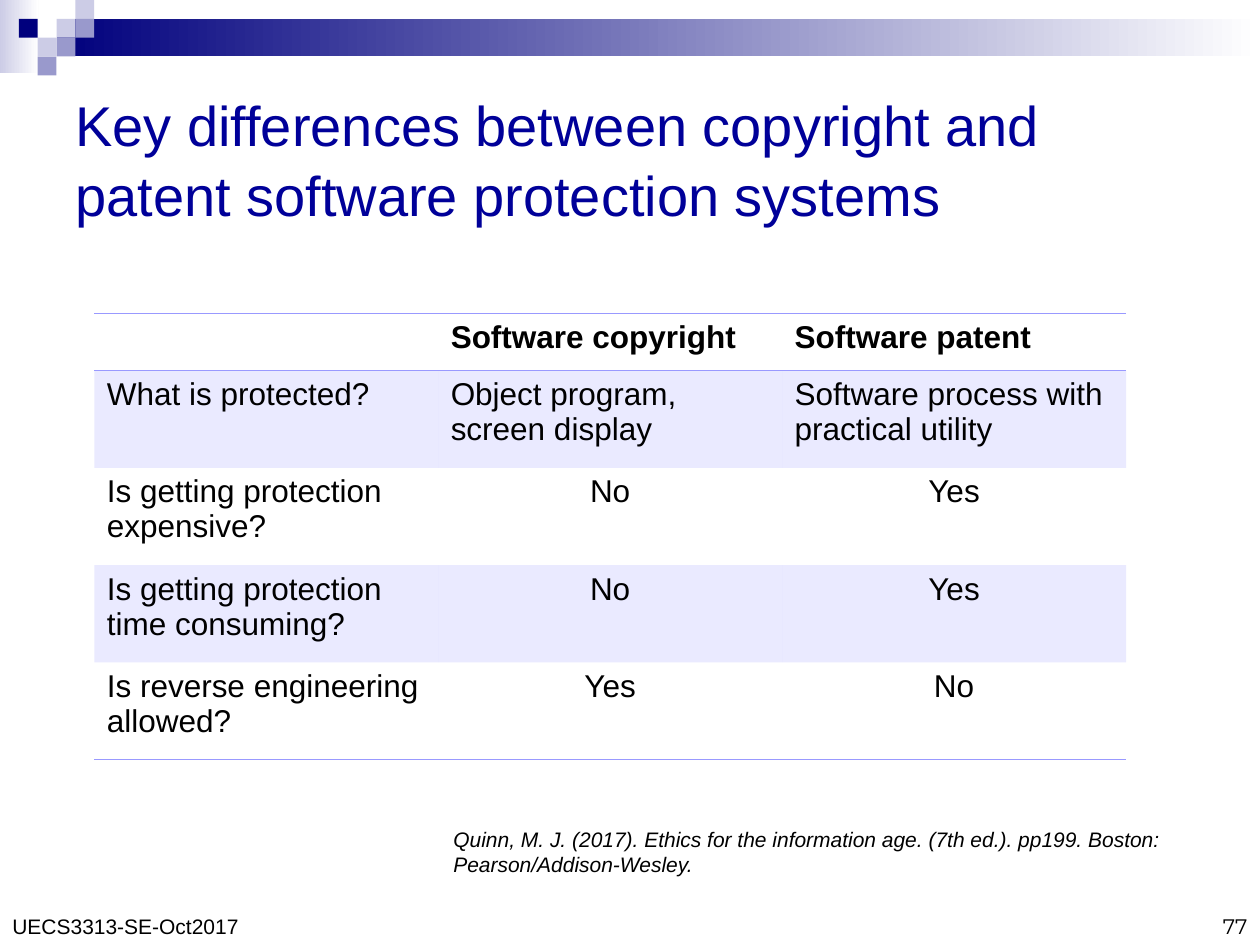
from dataclasses import dataclass

from lxml import etree
from pptx import Presentation
from pptx import util as u
from pptx.dml.color import RGBColor
from pptx.enum import shapes, text
from pptx.oxml.ns import qn


@dataclass(frozen=True)
class Theme:
    font: str = "Arial"
    number_font: str = "Montserrat"
    title_size: int = 32
    table_size: int = 18
    small_size: int = 12
    title: str = "000099"
    body: str = "000000"
    navy: str = "00007D"
    violet: str = "9999CC"
    lavender: str = "CCCCE6"
    white: str = "FFFFFF"
    accent: str = "9999FF"
    band_opacity: int = 20
    rule_width: float = 0.45


THEME = Theme()
LEFT, CENTER, RIGHT = text.PP_ALIGN.LEFT, text.PP_ALIGN.CENTER, text.PP_ALIGN.RIGHT
TILE = 0.38
TILES = [  # column, row, colour
    (3, 1, THEME.lavender),
    (4, 0, THEME.lavender),
    (4, 1, THEME.violet),
    (2, 2, THEME.lavender),
    (1, 1, THEME.navy),
    (3, 2, THEME.violet),
    (2, 3, THEME.violet),
]
ROWS = [
    ("", "Software copyright", "Software patent"),
    ("What is protected?", "Object program, screen display",
     "Software process with practical utility"),
    ("Is getting protection expensive?", "No", "Yes"),
    ("Is getting protection time consuming?", "No", "Yes"),
    ("Is reverse engineering allowed?", "Yes", "No"),
]


def write(frame, words, size, color=THEME.body, font=THEME.font, bold=False,
          italic=False, align=LEFT, line_spacing=None):
    paragraph = frame.paragraphs[0]
    paragraph.alignment = align
    paragraph.line_spacing = line_spacing
    run = paragraph.add_run()
    run.text = words
    run.font.name = font
    run.font.size = u.Pt(size)
    run.font.bold = bold
    run.font.italic = italic
    run.font.color.rgb = RGBColor.from_string(color)


def add_text(slide, box, words, size, anchor=text.MSO_ANCHOR.TOP, **style):
    frame = slide.shapes.add_textbox(*map(u.Cm, box)).text_frame
    frame.word_wrap = True
    frame.vertical_anchor = anchor
    write(frame, words, size, **style)


def add_block(slide, box, color, fade_to=None):
    """Add a borderless rectangle, fading left to right if fade_to is given."""
    shape = slide.shapes.add_shape(shapes.MSO_SHAPE.RECTANGLE, *map(u.Cm, box))
    shape.shadow.inherit = False
    shape.line.fill.background()
    if fade_to:
        shape.fill.gradient()
        shape.fill.gradient_angle = 0
        for stop, stop_color in zip(shape.fill.gradient_stops, (color, fade_to)):
            stop.color.rgb = RGBColor.from_string(stop_color)
    else:
        shape.fill.solid()
        shape.fill.fore_color.rgb = RGBColor.from_string(color)


def fill_band(cell):
    cell.fill.solid()
    cell.fill.fore_color.rgb = RGBColor.from_string(THEME.accent)
    color = cell._tc.tcPr.find(".//" + qn("a:srgbClr"))
    etree.SubElement(color, qn("a:alpha"), val=str(THEME.band_opacity * 1000))


def set_borders(cell, ruled):
    """Draw the sides named in ruled and clear the others."""
    for index, side in enumerate("LRTB"):
        line = etree.Element(qn(f"a:ln{side}"))
        if side in ruled:
            line.set("w", str(u.Pt(THEME.rule_width)))
            fill = etree.SubElement(line, qn("a:solidFill"))
            etree.SubElement(fill, qn("a:srgbClr"), val=THEME.accent)
        else:
            line.set("w", "0")
            etree.SubElement(line, qn("a:noFill"))
        cell._tc.get_or_add_tcPr().insert(index, line)


def add_comparison(slide, box, header_height):
    last = len(ROWS) - 1
    borders = {0: "TB", 1: "T", last: "B"}
    table = slide.shapes.add_table(len(ROWS), len(ROWS[0]), *map(u.Cm, box)).table
    table.first_row = table.horz_banding = False
    row_height = (box[3] - header_height) / last
    for r, words_in_row in enumerate(ROWS):
        table.rows[r].height = u.Cm(row_height if r else header_height)
        for c, words in enumerate(words_in_row):
            cell = table.cell(r, c)
            if r % 2:
                fill_band(cell)
            else:
                cell.fill.background()
            set_borders(cell, borders.get(r, ""))
            if words:
                write(cell.text_frame, words, THEME.table_size, bold=r == 0,
                      align=CENTER if r > 1 and c else LEFT)


def add_header_art(slide):
    add_block(slide, (0, 0, 0.78, 1.47), THEME.lavender, fade_to=THEME.white)
    add_block(slide, (3 * TILE, TILE, 25.4 - 3 * TILE, 2 * TILE), THEME.navy,
              fade_to=THEME.white)
    for column, row, color in TILES:
        add_block(slide, (column * TILE, row * TILE, TILE, TILE), color)


def main():
    presentation = Presentation()
    presentation.slide_width, presentation.slide_height = u.Cm(25.4), u.Cm(19.05)
    slide = presentation.slides.add_slide(presentation.slide_layouts[6])
    add_header_art(slide)
    add_text(slide, (1.27, 1.27, 22.86, 3.81),
             "Key differences between copyright and patent software protection systems",
             THEME.title_size, anchor=text.MSO_ANCHOR.MIDDLE, color=THEME.title,
             line_spacing=1.04)
    add_text(slide, (0, 17.78, 8.05, 1.27), "UECS3313-SE-Oct2017",
             THEME.small_size, anchor=text.MSO_ANCHOR.BOTTOM)
    add_text(slide, (19.48, 17.78, 5.92, 1.27), "77", THEME.small_size,
             anchor=text.MSO_ANCHOR.BOTTOM, font=THEME.number_font, align=RIGHT)
    add_comparison(slide, (1.9, 6.32, 20.8, 9), header_height=1.15)
    add_text(slide, (8.89, 16.54, 15.6, 1.27),
             "Quinn, M. J. (2017). Ethics for the information age. (7th ed.). "
             "pp199. Boston: Pearson/Addison-Wesley.",
             THEME.small_size, italic=True)
    presentation.save("out.pptx")


if __name__ == "__main__":
    main()
